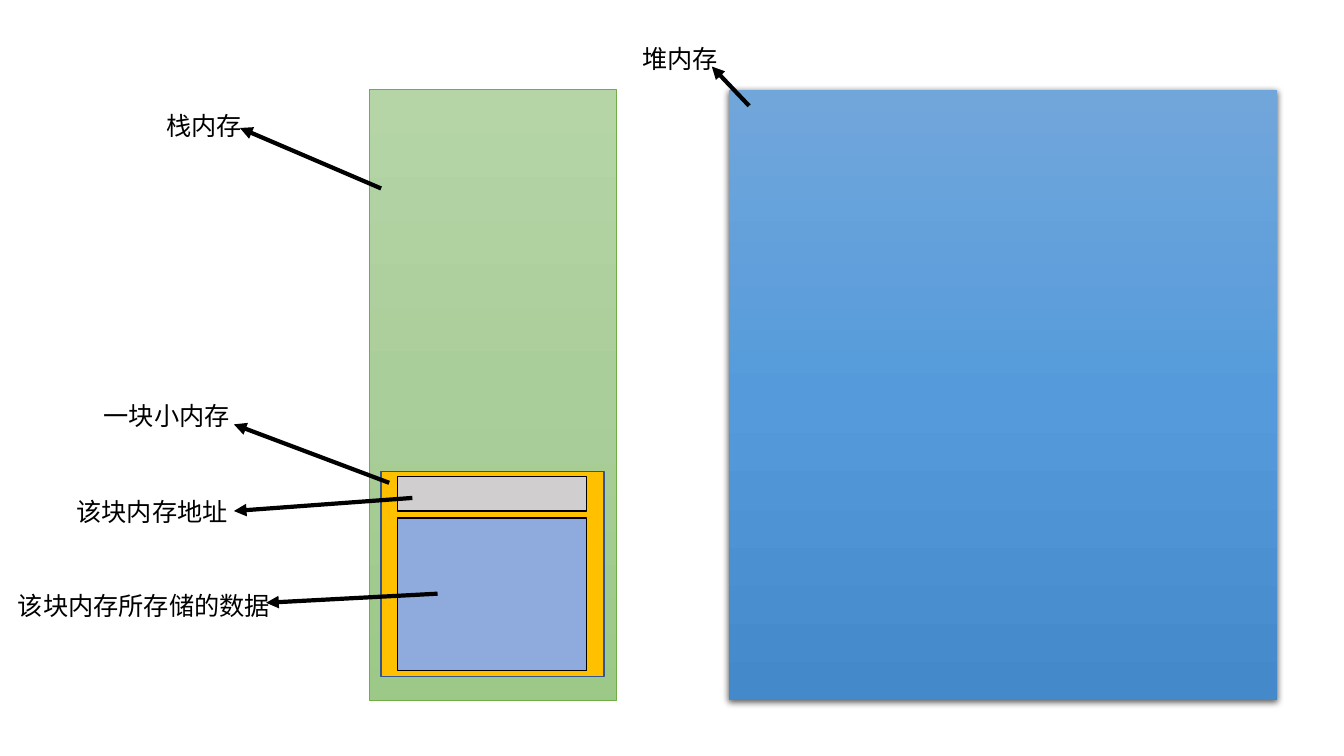
from copy import deepcopy

from lxml.etree import SubElement
from pptx import Presentation
from pptx.dml.color import RGBColor
from pptx.enum.shapes import MSO_CONNECTOR as Connector, MSO_SHAPE as Preset
from pptx.enum.text import MSO_AUTO_SIZE as AutoSize
from pptx.oxml.ns import qn
from pptx.util import Inches, Pt

BLACK = RGBColor(0x00, 0x00, 0x00)
GREEN_LINE = RGBColor(0x70, 0xAD, 0x47)
NAVY_LINE = RGBColor(0x32, 0x54, 0x91)
AMBER = RGBColor(0xFF, 0xC0, 0x00)
PERIWINKLE = RGBColor(0x8F, 0xAA, 0xDC)
GREY = RGBColor(0xD0, 0xCE, 0xCE)
STACK_GREENS = [RGBColor(0xB5, 0xD5, 0xA7), RGBColor(0xAA, 0xCE, 0x9A), RGBColor(0x9C, 0xC9, 0x87)]
HEAP_BLUES = [RGBColor(0x71, 0xA6, 0xDB), RGBColor(0x55, 0x9B, 0xDB), RGBColor(0x44, 0x8A, 0xCA)]

FONT = "Noto Sans CJK SC"
LABEL_HEIGHT = 0.4

STACK = (3.66, 0.89, 2.45, 6.06)
HEAP = (7.23, 0.89, 5.44, 6.06)
BLOCKS = [
    ((3.78, 4.68, 2.21, 2.03), AMBER, NAVY_LINE),
    ((3.94, 5.14, 1.88, 1.51), PERIWINKLE, BLACK),
    ((3.94, 4.73, 1.88, 0.34), GREY, BLACK),
]
LABELS = [
    ("栈内存", 1.55, 1.05, 0.96),
    ("堆内存", 6.27, 0.38, 0.96),
    ("一块小内存", 0.93, 3.92, 1.46),
    ("该块内存地址", 0.66, 4.87, 1.72),
    ("该块内存所存储的数据", 0.08, 5.81, 2.73),
]
ARROWS = [
    (3.78, 1.87, 2.38, 1.27),
    (3.86, 4.79, 2.32, 4.21),
    (4.09, 4.94, 2.32, 5.07),
    (4.34, 5.89, 2.64, 5.98),
    (7.43, 1.05, 7.06, 0.66),
]


def set_attributes(target, values):
    for name, value in values.items():
        setattr(target, name, value)


def add_rectangle(slide, box):
    shape = slide.shapes.add_shape(Preset.RECTANGLE, *map(Inches, box))
    shape.shadow.inherit = False
    return shape


def set_outline(shape, color, width):
    shape.line.color.rgb = color
    shape.line.width = Pt(width)


def set_gradient(shape, colors):
    shape.fill.gradient()
    shape.fill.gradient_angle = 270
    stop_list = shape._element.spPr.find(qn("a:gradFill")).find(qn("a:gsLst"))
    stop_list.append(deepcopy(stop_list[-1]))
    for index, (stop, color) in enumerate(zip(shape.fill.gradient_stops, colors)):
        stop.position = index / (len(colors) - 1)
        stop.color.rgb = color


def add_drop_shadow(shape):
    effects = shape._element.spPr.find(qn("a:effectLst"))
    shadow = SubElement(effects, qn("a:outerShdw"), blurRad=str(Pt(4.5)),
                        dist=str(Pt(1.5)), dir="5400000", algn="ctr", rotWithShape="0")
    color = SubElement(shadow, qn("a:srgbClr"), val=str(BLACK))
    SubElement(color, qn("a:alpha"), val="63000")


def add_block(slide, box, fill_color, line_color):
    shape = add_rectangle(slide, box)
    shape.fill.solid()
    shape.fill.fore_color.rgb = fill_color
    set_outline(shape, line_color, 1)


def add_label(slide, text, left, top, width):
    box = slide.shapes.add_textbox(*map(Inches, (left, top, width, LABEL_HEIGHT)))
    set_attributes(box.text_frame, {"word_wrap": False, "auto_size": AutoSize.SHAPE_TO_FIT_TEXT})
    run = box.text_frame.paragraphs[0].add_run()
    run.text = text
    run.font.color.rgb = BLACK
    set_attributes(run.font, {"size": Pt(18), "name": FONT})
    SubElement(run.font._element, qn("a:ea"), typeface=FONT)


def add_arrow(slide, points):
    arrow = slide.shapes.add_connector(Connector.STRAIGHT, *map(Inches, points))
    set_outline(arrow, BLACK, 3)
    properties = arrow._element.spPr
    SubElement(properties.find(qn("a:ln")), qn("a:tailEnd"), type="triangle")
    SubElement(properties, qn("a:effectLst"))


def main():
    presentation = Presentation()
    set_attributes(presentation, {"slide_width": Inches(13.33), "slide_height": Inches(7.5)})
    slide = presentation.slides.add_slide(presentation.slide_layouts[6])

    stack = add_rectangle(slide, STACK)
    set_gradient(stack, STACK_GREENS)
    set_outline(stack, GREEN_LINE, 0.5)

    heap = add_rectangle(slide, HEAP)
    set_gradient(heap, HEAP_BLUES)
    heap.line.fill.background()
    add_drop_shadow(heap)

    for block in BLOCKS:
        add_block(slide, *block)
    for label in LABELS:
        add_label(slide, *label)
    for points in ARROWS:
        add_arrow(slide, points)

    presentation.save("out.pptx")


if __name__ == "__main__":
    main()
